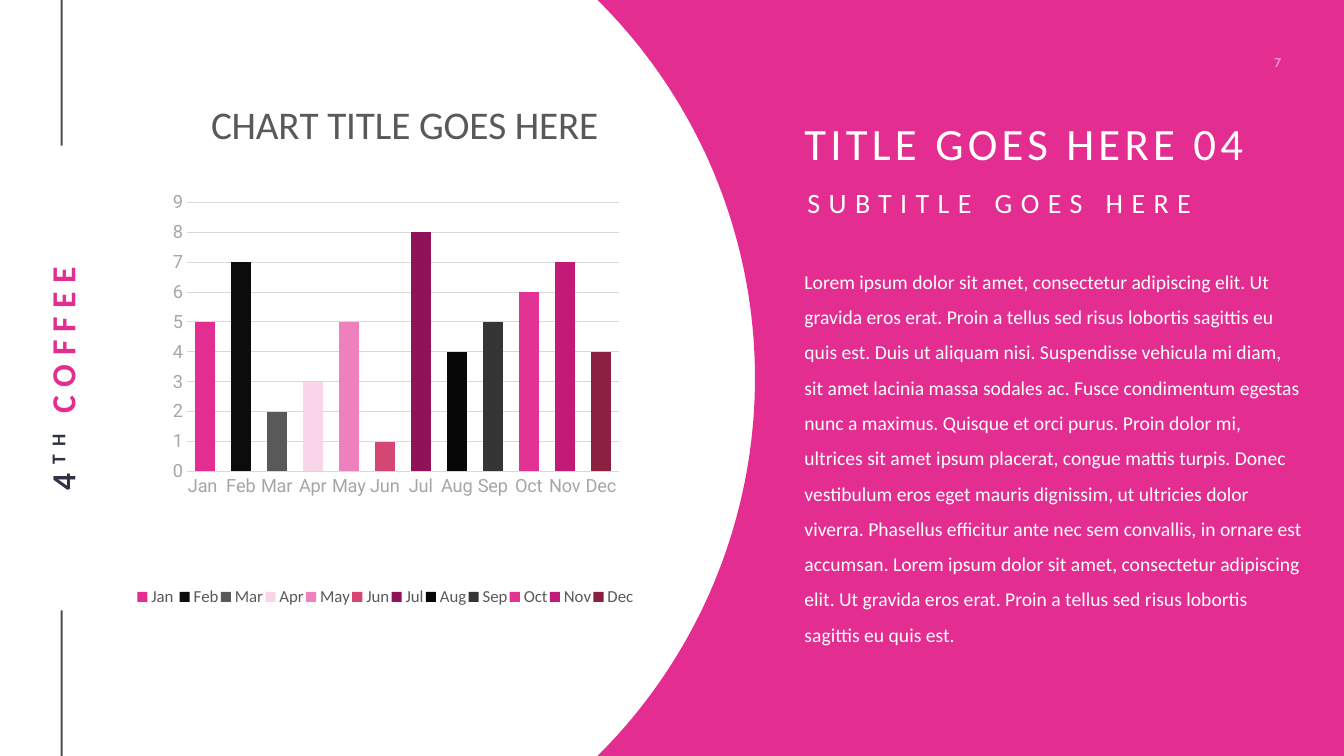
from math import asin, cos, sin
from lxml.etree import SubElement
from pptx import Presentation
from pptx.chart.data import CategoryChartData
from pptx.dml.color import RGBColor
from pptx.enum.chart import XL_CHART_TYPE as CHART, XL_LEGEND_POSITION as LEGEND, XL_TICK_MARK as TICK
from pptx.enum.shapes import MSO_CONNECTOR as CONN
from pptx.enum.text import MSO_ANCHOR as ANCHOR, MSO_AUTO_SIZE as FIT, PP_ALIGN as ALIGN
from pptx.oxml.ns import qn
from pptx.util import Pt

PINK = RGBColor(0xE3, 0x2D, 0x91)
WHITE = RGBColor(0xFF, 0xFF, 0xFF)
BLACK = RGBColor(0, 0, 0)
NAVY = RGBColor(0x2F, 0x33, 0x42)
DARK_GREY = RGBColor(0x59, 0x59, 0x59)
MID_GREY = RGBColor(0xA6, 0xA6, 0xA6)
PALE_GREY = RGBColor(0xD9, 0xD9, 0xD9)
MONTHS = [
    ("Jan ", 5, PINK),
    ("Feb", 7, RGBColor(0x0C, 0x0C, 0x0C)),
    ("Mar", 2, DARK_GREY),
    ("Apr", 3, RGBColor(0xF9, 0xD5, 0xE9)),
    ("May", 5, RGBColor(0xEE, 0x81, 0xBD)),
    ("Jun", 1, RGBColor(0xD5, 0x47, 0x73)),
    ("Jul", 8, RGBColor(0x90, 0x13, 0x58)),
    ("Aug", 4, RGBColor(0x07, 0x07, 0x07)),
    ("Sep", 5, RGBColor(0x35, 0x35, 0x35)),
    ("Oct", 6, RGBColor(0xE2, 0x33, 0x94)),
    ("Nov", 7, RGBColor(0xC2, 0x1A, 0x77)),
    ("Dec", 4, RGBColor(0x8B, 0x20, 0x41)),
]
LOREM = (
    "Lorem ipsum dolor sit amet, consectetur adipiscing elit. Ut gravida eros erat. "
    "Proin a tellus sed risus lobortis sagittis eu quis est. Duis ut aliquam nisi. "
    "Suspendisse vehicula mi diam, sit amet lacinia massa sodales ac. Fusce condimentum "
    "egestas nunc a maximus. Quisque et orci purus. Proin dolor mi, ultrices sit amet "
    "ipsum placerat, congue mattis turpis. Donec vestibulum eros eget mauris dignissim, "
    "ut ultricies dolor viverra. Phasellus efficitur ante nec sem convallis, in ornare "
    "est accumsan. Lorem ipsum dolor sit amet, consectetur adipiscing elit. Ut gravida "
    "eros erat. Proin a tellus sed risus lobortis sagittis eu quis est."
)


def add_text(p, text, size, color, bold=False, spacing=0, raised=0):
    r = p.add_run()
    r.text = text
    f = r.font
    f.name, f.size, f.bold = "Calibri", Pt(size), bold
    f.color.rgb = color
    if spacing:
        r._r.get_or_add_rPr().set("spc", str(spacing * 100))
    if raised:
        r._r.get_or_add_rPr().set("baseline", str(raised * 1000))


def set_layout(parent, index, inner=False, **percents):
    for old in parent.findall(qn("c:layout")):
        parent.remove(old)
    layout = SubElement(parent, qn("c:layout"))
    parent.insert(index, layout)
    manual = SubElement(layout, qn("c:manualLayout"))
    if inner:
        SubElement(manual, qn("c:layoutTarget")).set("val", "inner")
    for mode in ("xMode", "yMode"):
        SubElement(manual, qn("c:" + mode)).set("val", "edge")
    for name, value in percents.items():
        SubElement(manual, qn("c:" + name)).set("val", str(round(value / 100, 4)))


prs = Presentation()
prs.slide_width, prs.slide_height = Pt(960), Pt(540)
slide = prs.slides.add_slide(prs.slide_layouts[3])
shapes = slide.shapes
translucent = []

# Pink panel with a circular left edge, drawn in hundredths of a point
CX, CY, RADIUS, STEPS = 159, 270, 380.3, 80
reach = asin(CY / RADIUS)
angles = [reach - 2 * reach * i / STEPS for i in range(STEPS + 1)]
arc = [(CX + RADIUS * cos(a), CY + RADIUS * sin(a)) for a in angles]
builder = shapes.build_freeform(96000, 0, scale=Pt(1) / 100)
builder.add_line_segments([(x * 100, y * 100) for x, y in [(960, 540)] + arc], close=True)
panel = builder.convert_to_shape()
panel.shadow.inherit = False
panel.fill.solid()
panel.fill.fore_color.rgb = PINK
panel.line.fill.background()

# Vertical rules above and below the company name
for top, bottom in ((0, 104), (436, 540)):
    rule = shapes.add_connector(CONN.STRAIGHT, Pt(44), Pt(top), Pt(44), Pt(bottom))
    rule.line.width = Pt(1.5)
    rule.line.color.rgb = BLACK
    SubElement(rule._element.spPr, qn("a:effectLst"))
    translucent.append((rule, 70))

# Company name and page number
name = shapes.add_textbox(Pt(-121.7), Pt(254.2), Pt(332), Pt(32.4))
name.rotation = 270
number = shapes.add_textbox(Pt(859.7), Pt(34.6), Pt(55.4), Pt(19.4))
for sp, align in ((name, ALIGN.CENTER), (number, ALIGN.RIGHT)):
    tf = sp.text_frame
    tf.word_wrap = True
    tf.vertical_anchor = ANCHOR.MIDDLE
    tf.margin_left = tf.margin_right = tf.margin_top = tf.margin_bottom = 0
    tf.paragraphs[0].alignment = align
p = name.text_frame.paragraphs[0]
add_text(p, "4", 24, NAVY, bold=True, spacing=6)
add_text(p, "TH ", 24, NAVY, bold=True, spacing=6, raised=30)
add_text(p, "COFFEE", 24, PINK, bold=True, spacing=6)
add_text(number.text_frame.paragraphs[0], "7", 10, WHITE, bold=True)
translucent.append((number, 50))

for sp, percent in translucent:
    for color in sp._element.iter(qn("a:srgbClr")):
        SubElement(color, qn("a:alpha")).set("val", str(percent * 1000))

# Monthly column chart
data = CategoryChartData()
data.categories = [month for month, _, _ in MONTHS]
data.add_series("Series 1", [value for _, value, _ in MONTHS])
chart = shapes.add_chart(
    CHART.COLUMN_CLUSTERED, Pt(87.1), Pt(41), Pt(393.1), Pt(466.6), data
).chart
chart.font.name, chart.font.size = "Roboto", Pt(15)
plot = chart.plots[0]
plot.vary_by_categories = True
plot.gap_width, plot.overlap = 75, -25
for i, (_, _, color) in enumerate(MONTHS):
    fill = plot.series[0].points[i].format.fill
    fill.solid()
    fill.fore_color.rgb = color

# Chart axes
months, values = chart.category_axis, chart.value_axis
for axis in (months, values):
    axis.major_tick_mark = axis.minor_tick_mark = TICK.NONE
    f = axis.tick_labels.font
    f.name, f.size = "Roboto", Pt(13)
    f.color.rgb = MID_GREY
values.minimum_scale, values.maximum_scale, values.major_unit = 0, 9, 1
values.format.line.fill.background()
values.has_major_gridlines = True
for line in (months.format.line, values.major_gridlines.format.line):
    line.width = Pt(0.75)
    line.color.rgb = PALE_GREY

# Chart title and legend
chart.has_title = True
title = chart.chart_title
add_text(title.text_frame.paragraphs[0], "CHART TITLE GOES HERE", 28, DARK_GREY)
chart.has_legend = True
legend = chart.legend
legend.position = LEGEND.BOTTOM
legend.include_in_layout = False
legend.font.name, legend.font.size = "Calibri", Pt(12)
legend.font.color.rgb = DARK_GREY
set_layout(title._element, 1, x=14.9, y=5.2)
set_layout(legend._element, 1, x=2.4, y=80.6, w=91, h=4)
set_layout(plot._element.getparent(), 0, inner=True, x=11.8, y=22.2, w=78.5, h=41.2)

# Title, subtitle and body text, in front of the panel
blocks = [
    ((574.6, 81.4, 355.7, 45.4), ANCHOR.MIDDLE, 0.9, "TITLE GOES HERE 04", 32, 3),
    ((576.7, 131.8, 352.8, 32.4), ANCHOR.TOP, 0.9, "SUBTITLE GOES HERE", 20, 6),
    ((574.6, 180.7, 355.7, 297.4), ANCHOR.TOP, 1.5, LOREM, 14, 0),
]
for sp, (box, anchor, leading, text, size, spacing) in zip(list(slide.placeholders), blocks):
    shapes._spTree.append(sp._element)
    sp.left, sp.top, sp.width, sp.height = [Pt(v) for v in box]
    tf = sp.text_frame
    tf.word_wrap, tf.auto_size, tf.vertical_anchor = True, FIT.NONE, anchor
    tf.margin_left = tf.margin_right = 0
    tf.margin_top = tf.margin_bottom = Pt(3.6)
    p = tf.paragraphs[0]
    p.alignment, p.line_spacing, p.space_before = ALIGN.LEFT, leading, Pt(0)
    pPr = p._p.get_or_add_pPr()
    pPr.set("marL", "0")
    pPr.set("indent", "0")
    SubElement(pPr, qn("a:buNone"))
    add_text(p, text, size, WHITE, spacing=spacing)

prs.save("out.pptx")
